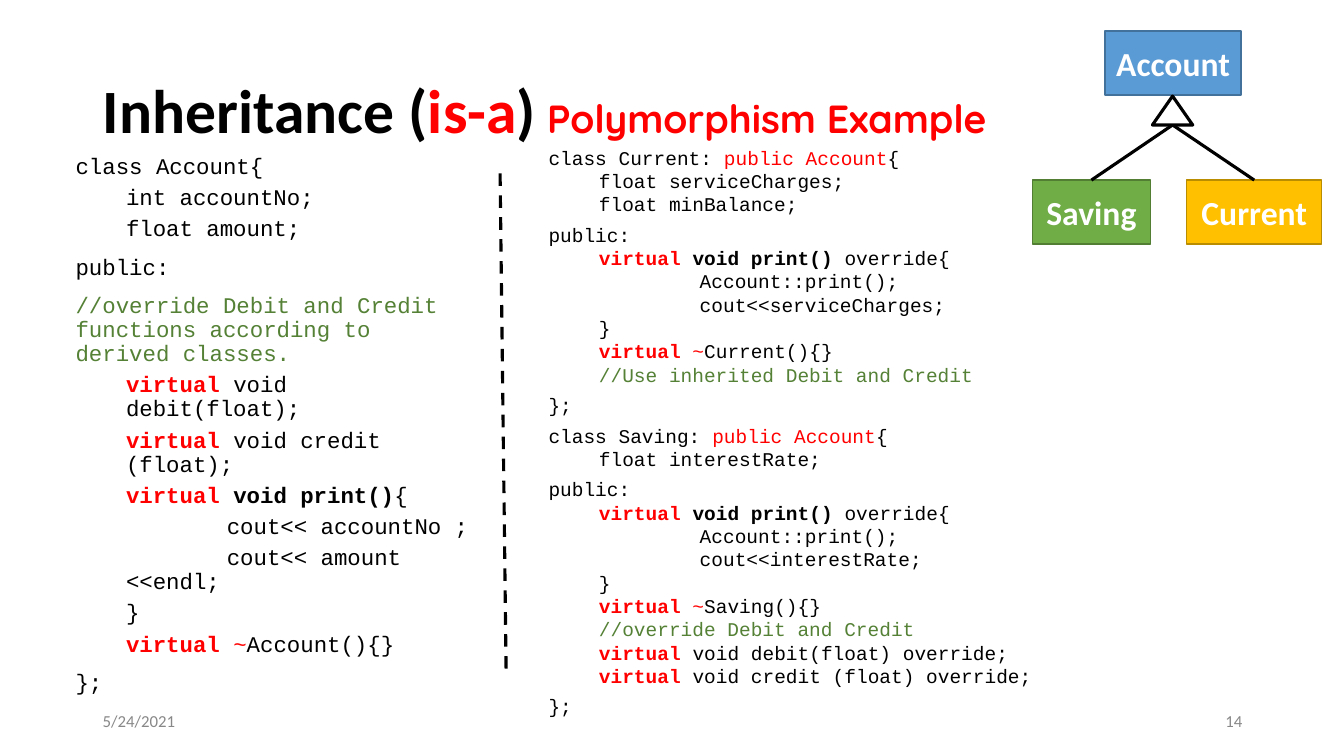
import pptx
import pptx.util
import pptx.dml.color
import pptx.enum.dml
import pptx.enum.shapes
import pptx.enum.text
import pptx.oxml

Inch = pptx.util.Inches
Pt = pptx.util.Pt
Align = pptx.enum.text.PP_ALIGN
Shape = pptx.enum.shapes.MSO_SHAPE
WIDE, HIGH = 13.33, 7.5
BLACK, RED, GREEN, WHITE, GREY = "000000", "FF0000", "548135", "FFFFFF", "888888"
STYLES = {"plain": (BLACK, False), "bold": (BLACK, True), "red": (RED, False),
          "key": (RED, True), "note": (GREEN, False)}


def line(level, *parts):
    """Describe a code line: plain strings or (style, text) pairs."""
    return level, [("plain", part) if isinstance(part, str) else part for part in parts]


def method(text):
    """Describe a virtual method."""
    return line(1, ("key", "virtual "), text)


def printer(tail):
    """Describe the head of the print method."""
    return line(1, ("key", "virtual "), ("bold", "void print()"), tail)


def killer(name):
    """Describe a virtual destructor."""
    return line(1, ("key", "virtual"), ("red", " ~"), name + "(){}")


def derived(name, fields, shown, rest):
    """Describe a class derived from Account."""
    return [
        line(0, f"class {name}: ", ("red", "public Account"), "{"),
        *[line(1, field) for field in fields],
        line(0, "public:"),
        printer(" override{"),
        line(1, "\tAccount::print();"),
        line(1, f"\tcout<<{shown};"),
        line(1, "}"),
        killer(name),
        *rest,
        line(0, "};"),
    ]


BASE = [
    line(0, "class Account{"),
    line(1, "int accountNo;"),
    line(1, "float amount;"),
    line(0, "public:"),
    line(0, ("note", "//override Debit and Credit functions according to derived classes.")),
    method("void debit(float);"),
    method("void credit (float);"),
    printer("{"),
    line(1, "\tcout<< accountNo ;"),
    line(1, "\tcout<< amount <<endl;"),
    line(1, "}"),
    killer("Account"),
    line(0, "};"),
]
HEIRS = derived(
    "Current", ["float serviceCharges;", "float minBalance;"], "serviceCharges",
    [line(1, ("note", "//Use inherited Debit and Credit"))],
) + derived(
    "Saving", ["float interestRate;"], "interestRate",
    [line(1, ("note", "//override Debit and Credit")),
     method("void debit(float) override;"),
     method("void credit (float) override;")],
)


def paint(color, code):
    """Set a colour from a hex string."""
    color.rgb = pptx.dml.color.RGBColor.from_string(code)


def write(para, text, size, font, code, bold=False):
    """Add one styled run."""
    run = para.add_run()
    run.text = text
    run.font.size, run.font.name, run.font.bold = Pt(size), font, bold
    paint(run.font.color, code)


def place(shape, box):
    """Move a shape to a box."""
    shape.left, shape.top, shape.width, shape.height = map(Inch, box)


def head(shape, box):
    """Fill the title."""
    place(shape, box)
    frame = shape.text_frame
    frame.auto_size = pptx.enum.text.MSO_AUTO_SIZE.NONE
    frame.vertical_anchor = pptx.enum.text.MSO_ANCHOR.MIDDLE
    para = frame.paragraphs[0]
    para.alignment, para.line_spacing = Align.LEFT, 0.9
    for text, code in (("Inheritance (", BLACK), ("is-a", RED), (")", BLACK)):
        write(para, text, 44, "Calibri", code, True)
    write(para, " Polymorphism Example", 28, "Quicksand", RED, True)


def listing(shape, box, lines, size, pitch):
    """Fill a body placeholder with code."""
    place(shape, box)
    frame = shape.text_frame
    frame.auto_size = pptx.enum.text.MSO_AUTO_SIZE.NONE
    for i, (level, parts) in enumerate(lines):
        para = frame.add_paragraph() if i else frame.paragraphs[0]
        para.level, para.line_spacing = level, pitch
        para.space_before = Pt((10, 5)[level] if i else 0)
        props = para._p.get_or_add_pPr()
        props.set("marL", str(Inch(0.5 * level)))
        props.set("indent", "0")
        props.set("defTabSz", str(Inch(1)))
        props.append(pptx.oxml.parse_xml(
            '<a:buNone xmlns:a="http://schemas.openxmlformats.org/drawingml/2006/main"/>'))
        for style, text in parts:
            write(para, text, size, "Courier New", *STYLES[style])


def footer(slide, box, text, align):
    """Add a footer text."""
    frame = slide.shapes.add_textbox(*map(Inch, box)).text_frame
    frame.word_wrap = True
    frame.vertical_anchor = pptx.enum.text.MSO_ANCHOR.MIDDLE
    para = frame.paragraphs[0]
    para.alignment = align
    write(para, text, 12, "Calibri", GREY)


def link(slide, start, end, dash=False):
    """Draw a black line between two points."""
    kind = pptx.enum.shapes.MSO_CONNECTOR.STRAIGHT
    edge = slide.shapes.add_connector(kind, *map(Inch, (*start, *end)))
    paint(edge.line.fill.fore_color if edge.line.fill.solid() else edge.line.color, BLACK)
    edge.line.width = Pt(2.25)
    if dash:
        edge.line.dash_style = pptx.enum.dml.MSO_LINE.DASH
    edge._element.spPr.append(pptx.oxml.parse_xml(
        '<a:effectLst xmlns:a="http://schemas.openxmlformats.org/drawingml/2006/main"/>'))


def block(slide, kind, box, fill, edge, width):
    """Add a filled shape without shadow."""
    shape = slide.shapes.add_shape(kind, *map(Inch, box))
    shape.shadow.inherit = False
    shape.fill.solid()
    paint(shape.fill.fore_color, fill)
    paint(shape.line.color, edge)
    shape.line.width = Pt(width)
    return shape


def tree(slide, box):
    """Draw the class diagram inside a box."""
    left, top, wide, high = box
    tall = 0.3 * high
    low = top + high - tall
    mid = left + 1.39
    tip, foot = top + tall + 0.01, top + 0.93
    nodes = (("Account", mid - 0.67, top, 1.35, "5B9BD5", "42719B"),
             ("Saving", left, low, 1.17, "70AD47", "517E33"),
             ("Current", left + wide - 1.34, low, 1.34, "FFC000", "BA8C00"))
    for name, x, y, span, fill, edge in nodes:
        node = block(slide, Shape.RECTANGLE, (x, y, span, tall), fill, edge, 1)
        frame = node.text_frame
        frame.word_wrap = True
        frame.vertical_anchor = pptx.enum.text.MSO_ANCHOR.MIDDLE
        para = frame.paragraphs[0]
        para.alignment = Align.CENTER
        write(para, name, 24, "Calibri", WHITE, True)
        if y == low:
            link(slide, (mid, foot), (x + span / 2, low))
    block(slide, Shape.ISOSCELES_TRIANGLE, (mid - 0.2, tip, 0.4, foot - tip), WHITE, BLACK, 2.25)


def main():
    """Build the slide."""
    deck = pptx.Presentation()
    deck.slide_width, deck.slide_height = Inch(WIDE), Inch(HIGH)
    slide = deck.slides.add_slide(deck.slide_layouts[3])
    title, left, right = slide.placeholders
    head(title, (0.92, 0.4, 11.5, 1.45))
    listing(left, (0.65, 1.49, 4.14, 5.4), BASE, 16, 0.9)
    listing(right, (5.34, 1.46, 6.55, 5.74), HEIRS, 13.9, 0.7)
    link(slide, (4.96, 1.72), (5.02, 6.66), True)
    footer(slide, (0.92, 6.95, 3, 0.4), "5/24/2021", Align.LEFT)
    footer(slide, (9.42, 6.95, 3, 0.4), "14", Align.RIGHT)
    tree(slide, (10.24, 0.31, 2.87, 2.11))
    deck.save("out.pptx")


if __name__ == "__main__":
    main()
